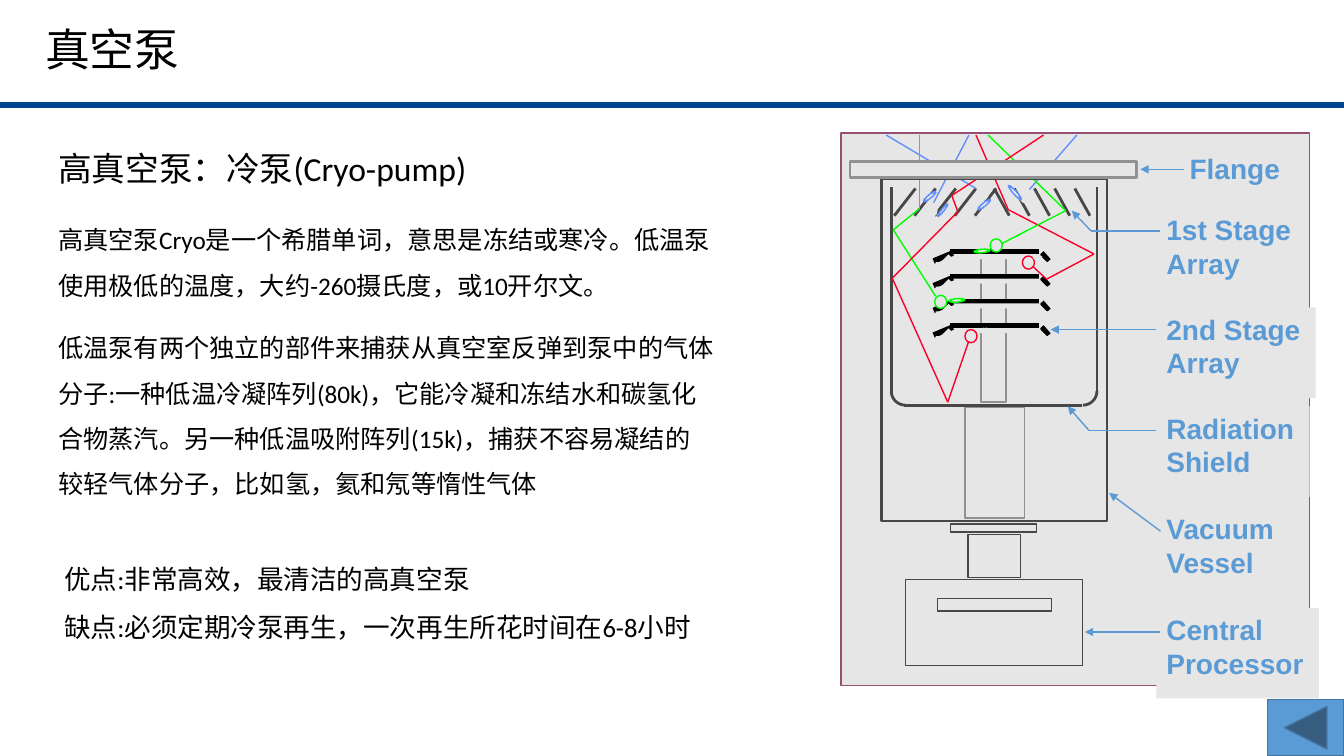
import dataclasses
import math

import lxml.etree
import pptx
import pptx.dml.color
import pptx.enum.shapes
import pptx.enum.text
import pptx.oxml.ns
import pptx.util

COLORS = {
    "rule": "01458E", "text": "000000", "panel": "E7E6E6", "border": "954F72",
    "wall": "474747", "column": "919191", "array": "000000", "label": "5B9BD5",
    "water": "618FFD", "nitrogen": "00FF00", "helium": "FC0128", "button": "43739E",
}
KINDS = pptx.enum.shapes.MSO_SHAPE
RECT, OVAL, STAR = KINDS.RECTANGLE, KINDS.OVAL, KINDS.STAR_16_POINT


@dataclasses.dataclass
class Block:
    left: float
    top: float
    width: float
    height: float
    line: str = ""
    weight: float = 1
    kind: int = RECT
    rotation: float = 0
    fill: str = "panel"


@dataclasses.dataclass
class Route:
    color: str
    points: list
    weight: float = 1
    arrow: bool = False


@dataclasses.dataclass
class Note:
    left: float
    top: float
    width: float
    height: float
    size: float
    lines: list
    font: str = "Calibri"
    color: str = "text"
    spacing: float = 1
    bold: bool = False
    fill: str = ""
    wrap: bool = True


def length(inches: float) -> int:
    return pptx.util.Cm(inches * 2.54)


def rgb(name: str) -> pptx.dml.color.RGBColor:
    return pptx.dml.color.RGBColor.from_string(COLORS[name])


def draw_block(shapes, block: Block) -> None:
    shape = shapes.add_shape(block.kind, length(block.left), length(block.top),
                             length(block.width), length(block.height))
    shape.shadow.inherit = False
    shape.rotation = block.rotation
    shape.fill.solid()
    shape.fill.fore_color.rgb = rgb(block.fill)
    if block.line:
        shape.line.color.rgb = rgb(block.line)
        shape.line.width = pptx.util.Pt(block.weight)
    else:
        shape.line.fill.background()


def draw_route(shapes, route: Route) -> None:
    for start, end in zip(route.points, route.points[1:]):
        connector = shapes.add_connector(
            pptx.enum.shapes.MSO_CONNECTOR.STRAIGHT,
            *(length(value) for value in (*start, *end)))
        connector.line.color.rgb = rgb(route.color)
        connector.line.width = pptx.util.Pt(route.weight)
        if route.arrow and end == route.points[-1]:
            outline = connector.line._get_or_add_ln()
            lxml.etree.SubElement(outline, pptx.oxml.ns.qn("a:tailEnd"), type="triangle")
        properties = connector._element.spPr
        lxml.etree.SubElement(properties, pptx.oxml.ns.qn("a:effectLst"))


def draw_note(shapes, note: Note) -> None:
    box = shapes.add_textbox(length(note.left), length(note.top),
                             length(note.width), length(note.height))
    if note.fill:
        box.fill.solid()
        box.fill.fore_color.rgb = rgb(note.fill)
    frame = box.text_frame
    frame.word_wrap = note.wrap
    for index, line in enumerate(note.lines):
        paragraph = frame.add_paragraph() if index else frame.paragraphs[0]
        paragraph.line_spacing = note.spacing
        run = paragraph.add_run()
        run.text = line
        run.font.size = pptx.util.Pt(note.size)
        run.font.name = note.font
        run.font.bold = note.bold
        run.font.color.rgb = rgb(note.color)
        lxml.etree.SubElement(run._r.get_or_add_rPr(), pptx.oxml.ns.qn("a:ea"),
                              typeface="Noto Sans CJK SC")


def draw_corner(shapes, center_x: float, center_y: float, radius: float, start: int) -> None:
    angles = [math.radians(start + step) for step in range(0, 91, 10)]
    points = [(length(center_x + radius * math.cos(angle)),
               length(center_y + radius * math.sin(angle))) for angle in angles]
    builder = shapes.build_freeform(*points[0])
    builder.add_line_segments(points[1:], close=False)
    corner = builder.convert_to_shape()
    corner.shadow.inherit = False
    corner.fill.background()
    corner.line.color.rgb = rgb("wall")
    corner.line.width = pptx.util.Pt(2)


def draw_array(shapes, top: float) -> None:
    draw_route(shapes, Route("array", [(9.42, top), (10.3, top)], 4))
    draw_route(shapes, Route("array", [(10.33, top + 0.01), (10.4, top + 0.09)], 4))
    draw_block(shapes, Block(9.41, top + 0.02, 0.91, 0.05))
    draw_route(shapes, Route("array", [(9.45, top + 0.01), (9.26, top + 0.09)], 4))
    for mask in (Block(9.36, top + 0.02, 0.04, 0.12, rotation=45),
                 Block(9.28, top + 0.1, 0.06, 0.04),
                 Block(10.32, top + 0.02, 0.04, 0.13, rotation=315),
                 Block(10.37, top + 0.1, 0.06, 0.04)):
        draw_block(shapes, mask)


NOTES = [
    Note(0.35, 0.17, 6.7, 0.64, 32, ["真空泵"], "Noto Sans CJK SC"),
    Note(0.48, 1.42, 6.7, 0.5, 24, ["高真空泵：冷泵(Cryo-pump)"]),
    Note(0.54, 5.38, 6.58, 1.01, 19,
         ["优点:非常高效，最清洁的高真空泵",
          "缺点:必须定期冷泵再生，一次再生所花时间在6-8小时"], spacing=1.5),
    Note(0.48, 2.03, 6.7, 0.96, 18,
         ["高真空泵Cryo是一个希腊单词，意思是冻结或寒冷。低温泵使用极低的温度，"
          "大约-260摄氏度，或10开尔文。"], spacing=1.5),
    Note(0.48, 3.1, 6.7, 1.87, 18,
         ["低温泵有两个独立的部件来捕获从真空室反弹到泵中的气体分子:一种低温冷凝阵列(80k)，"
          "它能冷凝和冻结水和碳氢化合物蒸汽。另一种低温吸附阵列(15k)，"
          "捕获不容易凝结的较轻气体分子，比如氢，氦和氖等惰性气体"], spacing=1.5),
]
LABELS = [
    (11.7, 1.45, 1.14, 0.51, ["Flange"]),
    (11.47, 2.06, 1.49, 0.9, ["1st Stage", "Array"]),
    (11.47, 3.05, 1.58, 0.9, ["2nd Stage", "Array"]),
    (11.47, 4.03, 1.52, 0.9, ["Radiation", "Shield"]),
    (11.47, 5.03, 1.33, 0.9, ["Vacuum", "Vessel"]),
    (11.47, 6.03, 1.61, 0.9, ["Central", "Processor"]),
]
LEADERS = [
    [(11.74, 1.68), (11.31, 1.68)],
    [(11.51, 2.29), (10.82, 2.29), (10.63, 2.09)],
    [(11.47, 3.27), (10.42, 3.27)],
    [(11.47, 4.27), (10.8, 4.27), (10.59, 4.03)],
    [(11.51, 5.27), (11, 4.89)],
    [(11.51, 6.27), (10.76, 6.27)],
]
HOUSING = [
    Block(8.34, 1.32, 4.65, 5.48, "border"),
    Block(8.74, 1.77, 2.24, 3.4, "wall", 2),
    Block(8.85, 1.84, 2.03, 2.18),
    Block(9.57, 4.04, 0.59, 1.1, "column"),
    Block(9.73, 2.48, 0.25, 1.51, "column"),
]
DRIVE = [
    Block(9.6, 5.3, 0.52, 0.43, "wall"),
    Block(8.98, 5.75, 1.76, 0.85, "wall"),
    Block(9.3, 5.94, 1.13, 0.12, "wall"),
    Block(9.43, 5.2, 0.85, 0.08, "wall"),
]
BEAMS = [
    Route("water", [(9.61, 1.34), (9.26, 2.01)]),
    Block(9.17, 2.01, 0.13, 0.15, kind=OVAL),
    Block(9.68, 1.84, 0.13, 0.15, kind=OVAL),
    Route("water", [(8.79, 1.34), (9.68, 1.87)]),
    Route("water", [(10.68, 1.34), (10.21, 1.88)]),
    Block(10.11, 1.87, 0.13, 0.15, kind=OVAL),
    Route("helium", [(9.68, 1.34), (10, 2.08), (10.85, 2.52), (10.38, 2.77), (10.24, 2.64)]),
    Route("nitrogen", [(9.12, 1.34), (9.12, 2.07), (8.86, 2.28), (9.28, 2.94)]),
    Route("nitrogen", [(9.8, 1.34), (10.57, 2.09), (9.93, 2.42)]),
    Route("helium", [(10.35, 1.34), (9.44, 1.94), (9.5, 2.1), (8.85, 2.76),
                     (9.4, 3.99), (9.61, 3.38)]),
    Block(10.14, 2.54, 0.12, 0.13, "helium", kind=OVAL),
    Block(9.27, 2.93, 0.12, 0.13, "nitrogen", kind=OVAL),
    Block(9.82, 2.37, 0.12, 0.13, "nitrogen", kind=OVAL),
    Block(9.57, 3.27, 0.12, 0.13, "helium", kind=OVAL),
    Block(8.43, 1.6, 2.84, 0.16, "column", 2),
    Route("wall", [(8.73, 1.78), (10.99, 1.78)]),
]
FROST = [
    (9.68, 2.01, 0.16, 0.04, 141, "water"), (9.97, 1.89, 0.19, 0.04, 48, "water"),
    (9.14, 1.93, 0.16, 0.04, 141, "water"), (9.27, 2.07, 0.16, 0.03, 129, "water"),
    (9.66, 2.47, 0.16, 0.04, 175, "nitrogen"), (9.41, 2.96, 0.16, 0.04, 175, "nitrogen"),
    (9.67, 3.25, 0.17, 0.05, 175, ""), (10.24, 2.53, 0.1, 0.05, 175, ""),
    (9.99, 2.52, 0.17, 0.05, 175, ""),
]


def main() -> None:
    presentation = pptx.Presentation()
    presentation.slide_width = length(13.33)
    presentation.slide_height = length(7.5)
    shapes = presentation.slides.add_slide(presentation.slide_layouts[6]).shapes

    draw_route(shapes, Route("rule", [(0, 1.04), (13.33, 1.04)], 4.5))
    for note in NOTES:
        draw_note(shapes, note)
    for block in HOUSING:
        draw_block(shapes, block)
    for index in range(4):
        draw_array(shapes, 2.5 + 0.245 * index)
    for index in range(5):
        for left, lean in ((9.08, -0.21), (9.86, 0.15)):
            top_x = left + 0.2 * index
            draw_route(shapes, Route("wall", [(top_x, 1.87), (top_x + lean, 2.14)], 2))
    for wall in ([(8.84, 1.86), (8.84, 3.9)], [(10.88, 1.86), (10.88, 3.9)],
                 [(8.97, 4.02), (10.73, 4.02)]):
        draw_route(shapes, Route("wall", wall, 2))
    draw_corner(shapes, 8.98, 3.88, 0.14, 90)
    draw_corner(shapes, 10.74, 3.88, 0.14, 0)
    for block in DRIVE:
        draw_block(shapes, block)
    for left, top, width, height, lines in LABELS:
        draw_note(shapes, Note(left, top, width, height, 20, lines, "Arial", "label",
                               bold=True, fill="panel", wrap=False))
    for points in LEADERS:
        draw_route(shapes, Route("label", points, arrow=True))
    for item in BEAMS:
        if isinstance(item, Route):
            draw_route(shapes, item)
        else:
            draw_block(shapes, item)
    for left, top, width, height, rotation, color in FROST:
        draw_block(shapes, Block(left, top, width, height, color, 1, STAR, rotation))
    draw_block(shapes, Block(12.57, 6.94, 0.76, 0.56, "button", 1,
                             KINDS.ACTION_BUTTON_BACK_OR_PREVIOUS, fill="label"))
    presentation.save("out.pptx")


if __name__ == "__main__":
    main()
